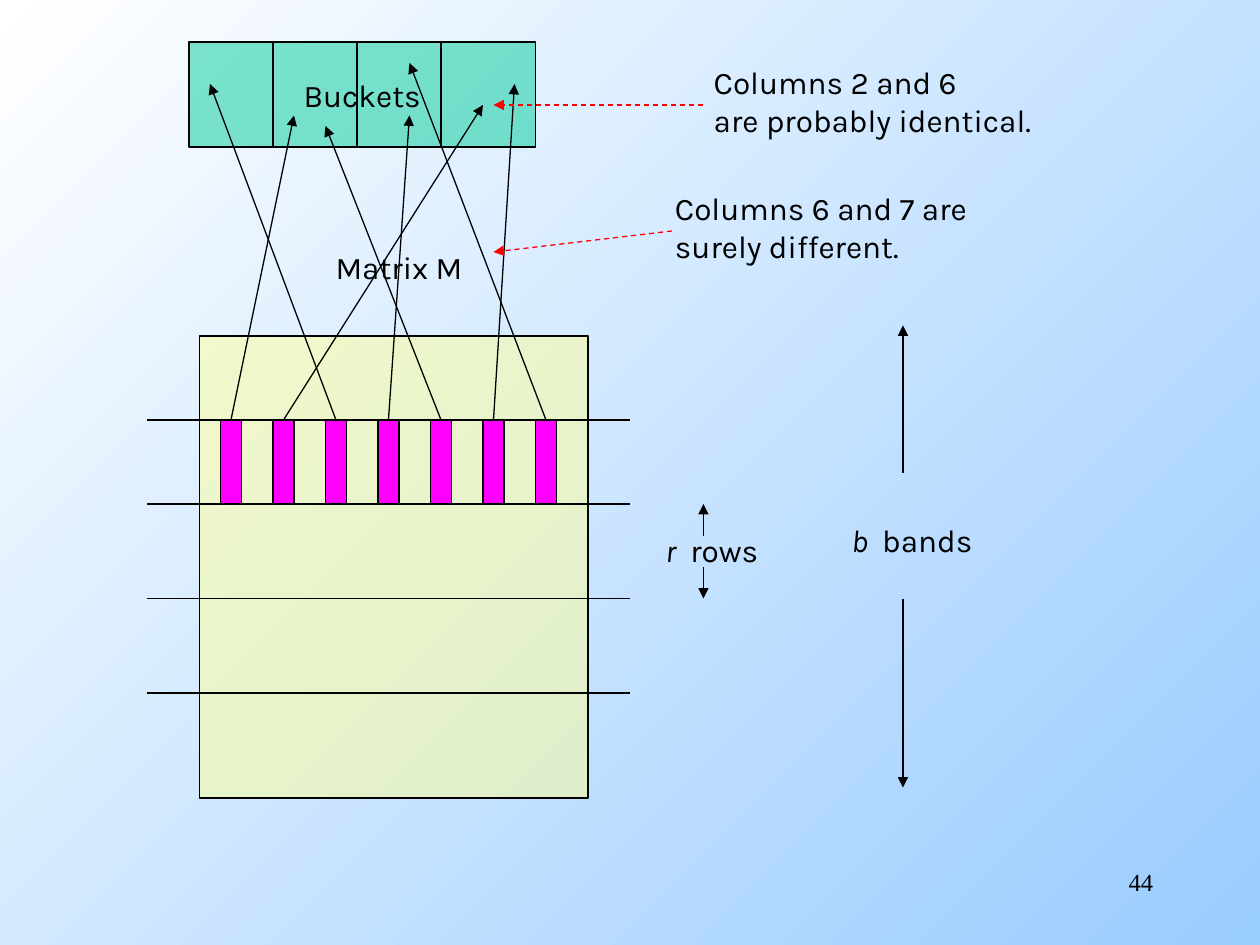
from typing import Any, NamedTuple, Optional

from lxml import etree
from pptx import Presentation
from pptx import util as u
from pptx.dml.color import RGBColor
from pptx.enum import dml, shapes, text
from pptx.oxml.ns import qn

# The slide is a grid of 120 columns by 90 rows
COLS, ROWS = 120, 90
WIDE, HIGH = u.Inches(10), u.Inches(7.5)
HUES = {
    "ink": "000000", "red": "FF0000", "pink": "FF00FF", "cream": "FFFF99",
    "green": "00CC99", "white": "FFFFFF", "sky": "99CCFF",
}
SANS, SERIF = "Karla", "Times New Roman"
LEFT, MID, RIGHT = text.PP_ALIGN.LEFT, text.PP_ALIGN.CENTER, text.PP_ALIGN.RIGHT


class Box(NamedTuple):
    col: float
    row: float
    wide: float
    high: float


class Run(NamedTuple):
    words: str
    slant: bool = False


class Label(NamedTuple):
    box: Box
    lines: list[list[Run]]
    align: Any = MID
    font: str = SANS
    size: int = 18
    wrap: bool = False


class Line(NamedTuple):
    start: tuple[float, float]
    end: tuple[float, float]
    hue: str = "ink"
    head: bool = False
    dash: bool = False


class Note(NamedTuple):
    label: Label
    arrow: Line


def across(col: float) -> int:
    return round(WIDE * col / COLS)


def down(row: float) -> int:
    return round(HIGH * row / ROWS)


def place(box: Box) -> tuple[int, int, int, int]:
    return across(box.col), down(box.row), across(box.wide), down(box.high)


def tint(hue: str) -> RGBColor:
    return RGBColor.from_string(HUES[hue])


def write(frame: Any, label: Label) -> None:
    frame.word_wrap = label.wrap
    for i, line in enumerate(label.lines):
        para = frame.add_paragraph() if i else frame.paragraphs[0]
        para.alignment = label.align
        for part in line:
            run = para.add_run()
            run.text = part.words
            run.font.name = label.font
            run.font.size = u.Pt(label.size)
            run.font.italic = part.slant
            run.font.color.rgb = tint("ink")


def add_label(tree: Any, label: Label) -> None:
    write(tree.add_textbox(*place(label.box)).text_frame, label)


def add_rect(tree: Any, box: Box, hue: str, alpha: Optional[int] = None) -> Any:
    rect = tree.add_shape(shapes.MSO_SHAPE.RECTANGLE, *place(box))
    rect.shadow.inherit = False
    rect.fill.solid()
    rect.fill.fore_color.rgb = tint(hue)
    rect.line.color.rgb = tint("ink")
    rect.line.width = u.Pt(0.75)
    if alpha is not None:
        shade = rect.fill._xPr.find(".//" + qn("a:srgbClr"))
        etree.SubElement(shade, qn("a:alpha"), val=str(alpha * 1000))
    return rect


def add_line(tree: Any, line: Line) -> Any:
    (x1, y1), (x2, y2) = line.start, line.end
    wire = tree.add_connector(shapes.MSO_CONNECTOR.STRAIGHT,
                              across(x1), down(y1), across(x2), down(y2))
    wire.line.color.rgb = tint(line.hue)
    wire.line.width = u.Pt(0.75)
    if line.dash:
        wire.line.dash_style = dml.MSO_LINE.DASH
    if line.head:
        etree.SubElement(wire.line._get_or_add_ln(), qn("a:tailEnd"), type="triangle")
    etree.SubElement(wire._element.spPr, qn("a:effectLst"))
    return wire


def add_note(tree: Any, note: Note) -> None:
    group = tree.add_group_shape().shapes
    add_label(group, note.label)
    add_line(group, note.arrow)


# Matrix, its bands and the bucket row
MATRIX = Box(19, 32, 37, 44)
BUCKETS = Box(18, 4, 33, 10)
BANDS = [40, 48, 57, 66]
TOP = BANDS[0]
SPLITS = [BUCKETS.col + 8 * i for i in (1, 2, 3)]

# Where each column of the top band hashes to
TARGETS = [(28, 11), (46, 10), (20, 8), (39, 11), (31, 12), (49, 8), (39, 6)]

PAGE = Label(Box(86, 82, 25, 6), [[Run("44")]], RIGHT, SERIF, 14, True)
LABELS = [
    Label(Box(30.5, 23, 15, 4.8), [[Run("Matrix M")]]),
    Label(Box(61.8, 50, 12, 4.8), [[Run("r ", True), Run(" rows")]]),
    Label(Box(79.7, 49, 14.3, 4.8), [[Run("b ", True), Run(" bands")]]),
]
SPANS = [
    Line((67, 51), (67, 48), head=True),
    Line((67, 54), (67, 57), head=True),
    Line((86, 45), (86, 31), head=True),
    Line((86, 57), (86, 75), head=True),
]
NOTES = [
    Note(Label(Box(66.8, 5.4, 33.8, 8.4),
               [[Run("Columns 2 and 6")], [Run("are probably identical.")]], LEFT),
         Line((67, 10), (47, 10), "red", True, True)),
    Note(Label(Box(63.1, 17.4, 31.3, 8.4),
               [[Run("Columns 6 and 7 are")], [Run("surely different.")]], LEFT),
         Line((64, 22), (47, 24), "red", True, True)),
]


def main() -> None:
    deck = Presentation()
    deck.slide_width, deck.slide_height = WIDE, HIGH
    slide = deck.slides.add_slide(deck.slide_layouts[6])
    tree = slide.shapes

    # Background, running from top left to bottom right
    back = slide.background.fill
    back.gradient()
    back.gradient_angle = 315
    for stop, hue in zip(back.gradient_stops, ("white", "sky")):
        stop.color.rgb = tint(hue)

    # Matrix with labels, band lines and spans
    add_label(tree, PAGE)
    add_rect(tree, MATRIX, "cream", 50)
    for label in LABELS:
        add_label(tree, label)
    for row in BANDS:
        add_line(tree, Line((14, row), (60, row)))
    for span in SPANS:
        add_line(tree, span)

    # Column pieces in the top band
    cells = [add_rect(tree, Box(21 + 5 * i, TOP, 2, BANDS[1] - TOP), "pink")
             for i in range(len(TARGETS))]

    # Buckets
    rect = add_rect(tree, BUCKETS, "green", 50)
    rect.text_frame.vertical_anchor = text.MSO_ANCHOR.MIDDLE
    write(rect.text_frame, Label(BUCKETS, [[Run("Buckets")]]))
    for col in SPLITS:
        add_line(tree, Line((col, BUCKETS.row), (col, BUCKETS.row + BUCKETS.high)))

    # Hash arrows from each column to its bucket
    for i, (cell, goal) in enumerate(zip(cells, TARGETS)):
        wire = add_line(tree, Line((22 + 5 * i, TOP), goal, head=True))
        wire.begin_connect(cell, 0)

    # Remarks
    for note in NOTES:
        add_note(tree, note)

    deck.save("out.pptx")


if __name__ == "__main__":
    main()
